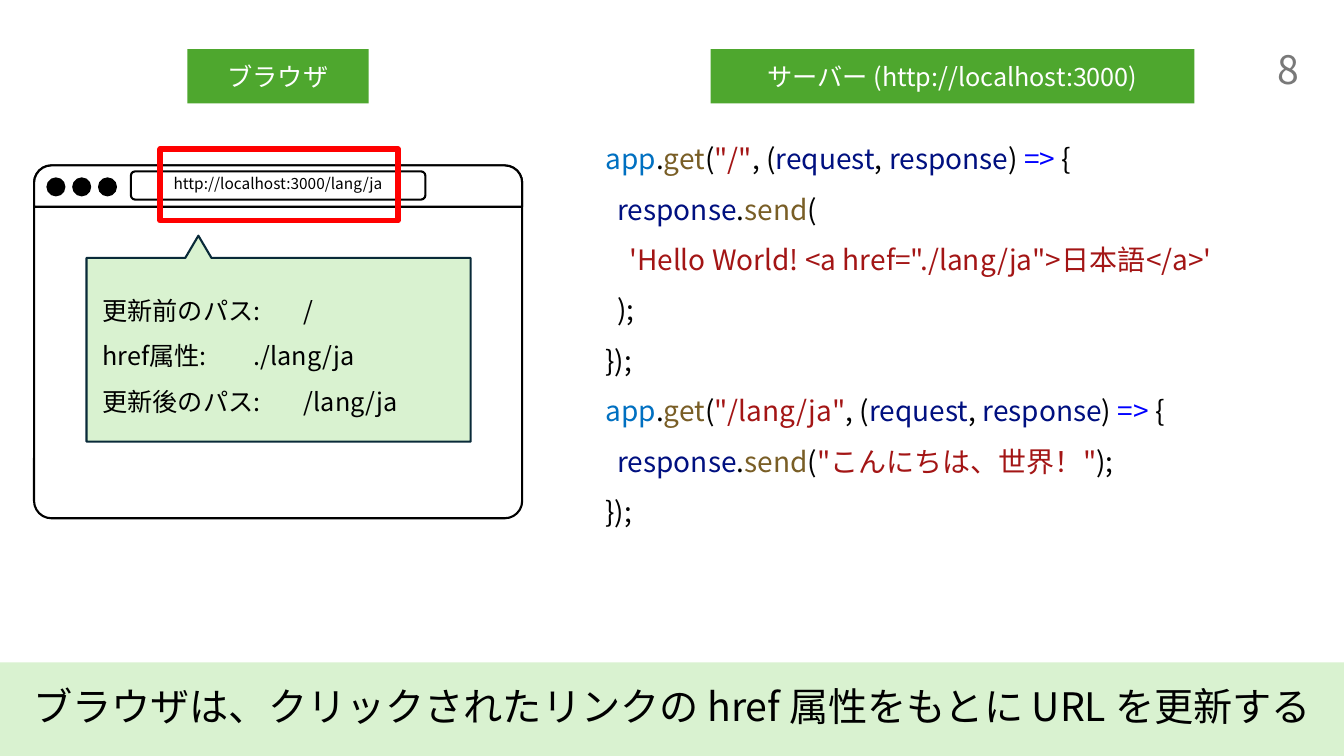
from lxml import etree
from pptx import Presentation, util as u
from pptx.dml.color import RGBColor
from pptx.enum import shapes, text
from pptx.oxml import ns

BLACK = RGBColor(0x00, 0x00, 0x00)
WHITE = RGBColor(0xFF, 0xFF, 0xFF)
GREEN = RGBColor(0x4E, 0xA7, 0x2E)
PALE_GREEN = RGBColor(0xD9, 0xF2, 0xD0)
DARK_TEAL = RGBColor(0x09, 0x2A, 0x39)
RED = RGBColor(0xFF, 0x00, 0x00)
GRAY = RGBColor(0x79, 0x79, 0x79)
CONSTANT = RGBColor(0x00, 0x70, 0xC1)
METHOD = RGBColor(0x79, 0x5E, 0x26)
STRING = RGBColor(0xA3, 0x15, 0x15)
VARIABLE = RGBColor(0x00, 0x10, 0x80)
ARROW = RGBColor(0x00, 0x00, 0xFF)

FONT = "Noto Sans CJK JP"
SHAPE = shapes.MSO_SHAPE
LEFT, CENTER, RIGHT = text.PP_ALIGN.LEFT, text.PP_ALIGN.CENTER, text.PP_ALIGN.RIGHT
TOP, MIDDLE = text.MSO_ANCHOR.TOP, text.MSO_ANCHOR.MIDDLE
INSETS = (0.25, 0.13, 0.25, 0.13)
CODE_INDENT = 0.3


def write(s, lines, size=18, color=BLACK, align=LEFT, anchor=TOP, spacing=1.0,
          before=0, insets=INSETS, wrap=True):
    tf = s.text_frame
    tf.word_wrap = wrap
    tf.vertical_anchor = anchor
    tf.margin_left, tf.margin_top, tf.margin_right, tf.margin_bottom = map(u.Cm, insets)
    for i, (level, runs) in enumerate(lines):
        p = tf.add_paragraph() if i else tf.paragraphs[0]
        p.alignment = align
        p.line_spacing = spacing
        p.space_before = u.Pt(before)
        if level:
            p._p.get_or_add_pPr().set("marL", str(u.Cm(level * CODE_INDENT)))
        for content, run_color in runs:
            r = p.add_run()
            r.text = content
            r.font.size = u.Pt(size)
            r.font.name = FONT
            r.font.color.rgb = run_color or color
            etree.SubElement(r._r.get_or_add_rPr(), ns.qn("a:ea"), typeface=FONT)


def plain(*lines):
    return [(0, [(line, None)]) for line in lines]


def route(url):
    return (0, [("app", CONSTANT), (".", None), ("get", METHOD), ("(", None),
                (f'"{url}"', STRING), (", (", None), ("request", VARIABLE), (", ", None),
                ("response", VARIABLE), (") ", None), ("=>", ARROW), (" {", None)])


def send(*rest):
    return (1, [("response", VARIABLE), (".", None), ("send", METHOD), ("(", None), *rest])


class Slide:
    def __init__(self, prs):
        self.shapes = prs.slides.add_slide(prs.slide_layouts[6]).shapes

    def style(self, s, fill, line, width):
        s.shadow.inherit = False
        if fill is None:
            s.fill.background()
        else:
            s.fill.solid()
            s.fill.fore_color.rgb = fill
        if line is None:
            s.line.fill.background()
        else:
            s.line.color.rgb = line
            s.line.width = u.Pt(width)
        return s

    def shape(self, kind, box, fill=None, line=None, width=1.5, adjust=()):
        s = self.shapes.add_shape(kind, *map(u.Cm, box))
        for i, value in enumerate(adjust):
            s.adjustments[i] = value
        return self.style(s, fill, line, width)

    def outline(self, points, fill=None, line=None, width=1.5):
        start, *rest = [(u.Cm(x), u.Cm(y)) for x, y in points]
        builder = self.shapes.build_freeform(*start)
        builder.add_line_segments(rest, close=True)
        return self.style(builder.convert_to_shape(), fill, line, width)

    def text(self, box, lines, **style):
        write(self.shapes.add_textbox(*map(u.Cm, box)), lines, **style)

    def heading(self, left, width, title):
        s = self.shape(SHAPE.RECTANGLE, (left, 1.24, width, 1.37), GREEN)
        write(s, plain(title), color=WHITE, align=CENTER, wrap=False,
              insets=(1, 0.3, 1, 0.3))

    def browser(self, url):
        left, top, width = 0.86, 4.17, 12.3
        self.shape(SHAPE.ROUNDED_RECTANGLE, (left, top, width, 8.89), WHITE, BLACK,
                   adjust=[0.049])
        self.shape(SHAPE.ROUND_2_SAME_RECTANGLE, (left, top, width, 1.04), WHITE, BLACK,
                   adjust=[0.42, 0])
        for i in range(3):
            self.shape(SHAPE.OVAL, (1.17 + 0.65 * i, 4.47, 0.48, 0.48), BLACK)
        address = (3.3, 4.32, 7.42, 0.71)
        self.shape(SHAPE.ROUNDED_RECTANGLE, address, WHITE, BLACK, adjust=[0.15])
        self.text(address, plain(url), size=11, align=CENTER, spacing=0.9, before=10)


def main():
    prs = Presentation()
    prs.slide_width, prs.slide_height = u.Cm(33.87), u.Cm(19.05)
    slide = Slide(prs)

    slide.text((15.01, 3.02, 17.96, 10.36), [
        route("/"),
        send(),
        (2, [("'Hello World! <a href=\"./lang/ja\">日本語</a>'", STRING)]),
        (1, [(");", None)]),
        (0, [("});", None)]),
        route("/lang/ja"),
        send(('"こんにちは、世界！"', STRING), (");", None)),
        (0, [("});", None)]),
    ], size=20, spacing=1.5)

    slide.browser("http://localhost:3000/lang/ja")
    slide.heading(4.72, 4.57, "ブラウザ")
    slide.heading(17.91, 12.19, "サーバー (http://localhost:3000)")
    slide.text((31.32, 1.02, 1.68, 1.45), plain("8"), size=28, color=GRAY,
               align=RIGHT, anchor=MIDDLE)

    message = slide.shape(SHAPE.RECTANGLE, (0, 16.69, 33.87, 2.36), PALE_GREEN)
    write(message, plain("ブラウザは、クリックされたリンクの href 属性をもとに URL を更新する"),
          size=28, align=CENTER, anchor=MIDDLE, spacing=0.9, before=10)

    slide.shape(SHAPE.RECTANGLE, (4.04, 3.76, 5.99, 1.8), line=RED, width=4)

    left, top, right, bottom = 2.18, 6.5, 11.86, 11.13
    callout = slide.outline([(5, 5.94), (5.33, top), (right, top), (right, bottom),
                             (left, bottom), (left, top), (4.67, top)],
                            PALE_GREEN, DARK_TEAL)
    write(callout, plain("更新前のパス:\t/", "href属性:\t./lang/ja", "更新後のパス:\t/lang/ja"),
          anchor=MIDDLE, spacing=1.5, insets=(0.4, 0.6, 0.4, 0.13))

    prs.save("out.pptx")


if __name__ == "__main__":
    main()
